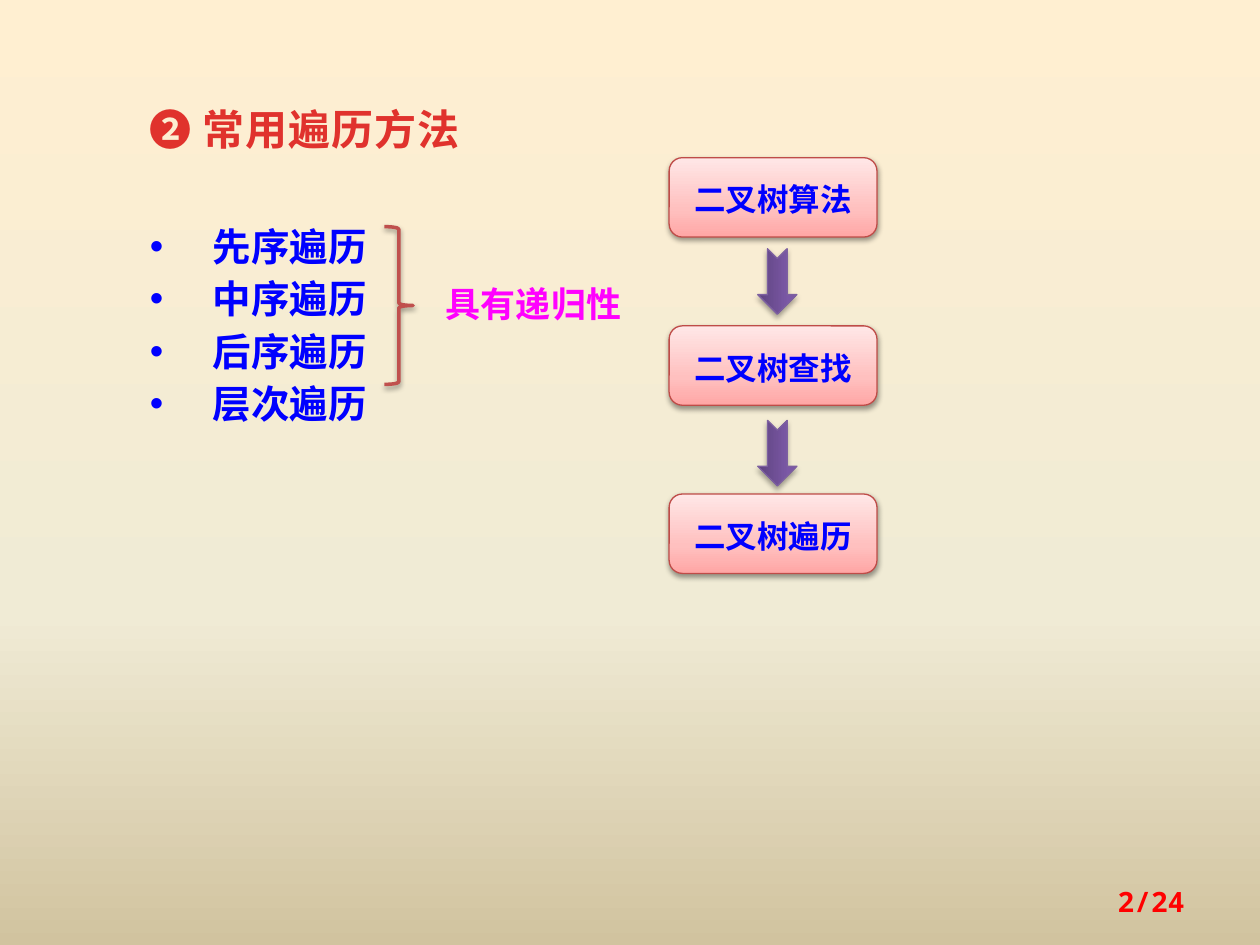
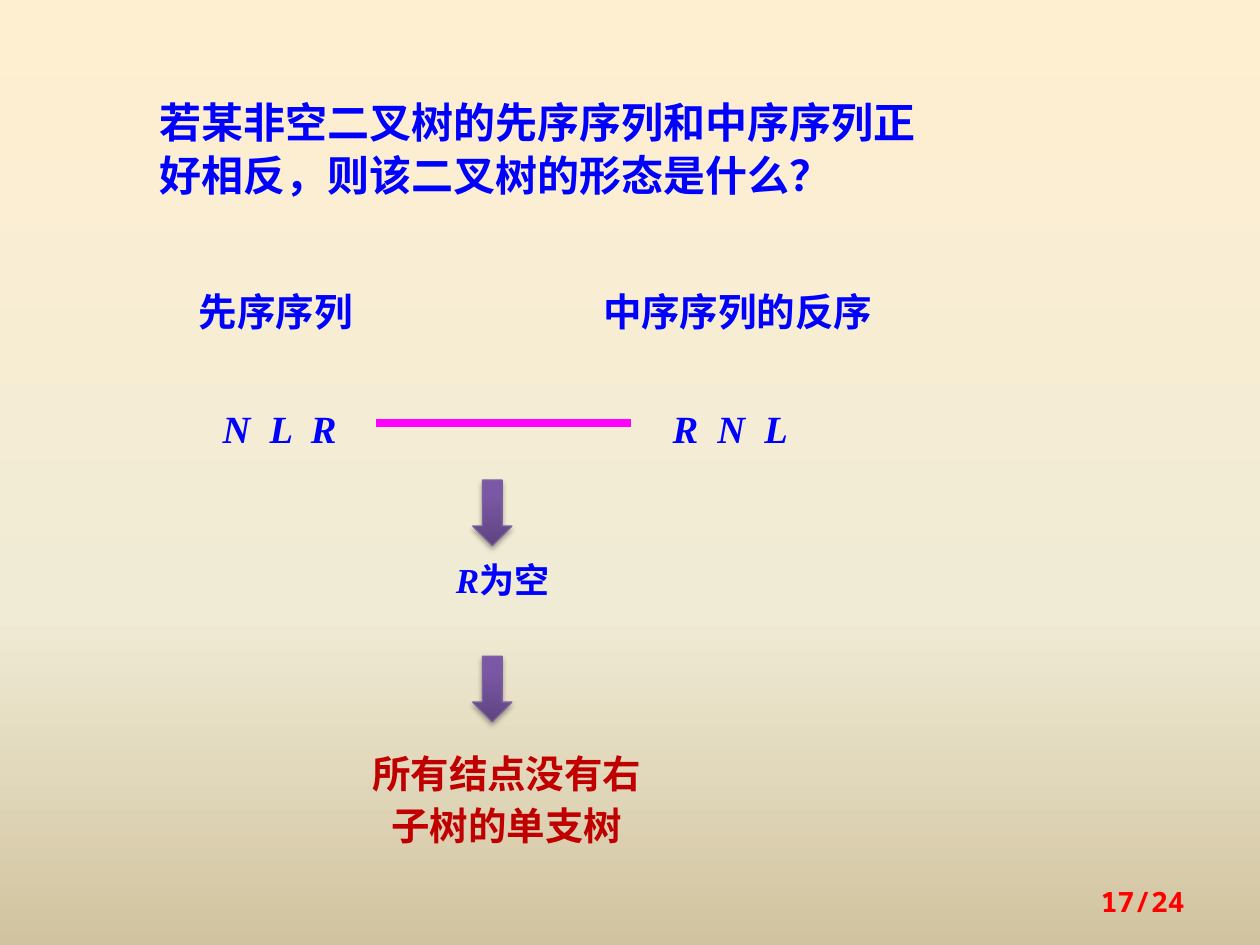
from collections.abc import Sequence
from dataclasses import dataclass, replace

from lxml.etree import SubElement
from pptx import Presentation
from pptx.dml.color import RGBColor
from pptx.dml.fill import FillFormat
from pptx.enum.shapes import MSO_CONNECTOR, MSO_SHAPE
from pptx.enum.text import MSO_ANCHOR, PP_ALIGN
from pptx.oxml.ns import qn
from pptx.slide import Slide
from pptx.util import Cm, Pt

BLUE, MAGENTA, RED, DARK_RED = "0000FF", "FF00FF", "FF0000", "C00000"
BRACE_RED, NODE_LINE, ARROW_LINE = "C0504D", "BF4C48", "7D60A0"
SERIF, SANS, MONO = "Times New Roman", "Noto Sans CJK SC", "Noto Sans Mono"
TOTAL_PAGES = 24


@dataclass(frozen=True)
class Gradient:
    stops: tuple[tuple[int, str], ...]
    angle: int


@dataclass(frozen=True)
class Frame:
    """Position and size in centimetres."""
    left: float
    top: float
    width: float
    height: float

    def lengths(self) -> tuple[Cm, Cm, Cm, Cm]:
        return Cm(self.left), Cm(self.top), Cm(self.width), Cm(self.height)


@dataclass(frozen=True)
class TextStyle:
    size: int
    colour: str | Gradient = BLUE
    font: str = SERIF
    italic: bool = False
    tracking: float = 0
    align: PP_ALIGN = PP_ALIGN.LEFT
    spacing: float | Pt = Pt(30)
    bulleted: bool = False


@dataclass(frozen=True)
class Look:
    """Outline, shadow and optional fill of a preset shape."""
    line: str
    line_width: float
    shadow_opacity: int
    shadow_distance: float
    fill: Gradient | None = None


PAGE_FILL = Gradient(((0, "FFEFD1"), (65, "F0EBD5"), (100, "D1C39F")), 90)
HEADING_FILL = Gradient(((25, "E0322D"), (100, "A2201C")), 90)
NODE_FILL = Gradient(((0, "FFA6A5"), (35, "FFC0BF"), (100, "FFE7E7")), 270)
ARROW_FILL = Gradient(((0, "5F4480"), (80, "7B58A6"), (100, "7C57A8")), 270)

BODY = TextStyle(22)
BULLETS = replace(BODY, bulleted=True)
SEQUENCE = replace(BODY, italic=True, tracking=2.75)
REMARK = TextStyle(20)
QUESTION = TextStyle(24)
HEADING = TextStyle(24, HEADING_FILL, SANS, tracking=0.5)
CONCLUSION = TextStyle(22, DARK_RED, SANS, align=PP_ALIGN.CENTER)
NODE_TEXT = TextStyle(18, BLUE, SANS, align=PP_ALIGN.CENTER, spacing=1.1)
PAGE_NUMBER = TextStyle(16, RED, MONO, align=PP_ALIGN.RIGHT, spacing=1.0)

BRACE = Look(BRACE_RED, 2, 38, 1.6)
NODE = Look(NODE_LINE, 0.75, 38, 1.6, NODE_FILL)
ARROW = Look(ARROW_LINE, 0.75, 35, 1.8, ARROW_FILL)


def rgb(colour: str) -> RGBColor:
    return RGBColor.from_string(colour)


def apply_gradient(fill: FillFormat, owner, gradient: Gradient) -> None:
    """Fill with any number of stops; owner is the element holding the fill."""
    fill.gradient()
    element = next(owner.iter(qn("a:gradFill")))
    stop_list = element.find(qn("a:gsLst"))
    for stop in list(stop_list):
        stop_list.remove(stop)
    for percent, colour in gradient.stops:
        stop = SubElement(stop_list, qn("a:gs"), pos=str(percent * 1000))
        SubElement(stop, qn("a:srgbClr"), val=colour)
    element.find(qn("a:lin")).set("ang", str(gradient.angle * 60000))


def format_span(span, style: TextStyle) -> None:
    font = span.font
    font.size, font.name = Pt(style.size), style.font
    font.bold, font.italic = True, style.italic
    properties = span._r.get_or_add_rPr()
    if isinstance(style.colour, Gradient):
        apply_gradient(font.fill, properties, style.colour)
    else:
        font.color.rgb = rgb(style.colour)
    if style.tracking:
        properties.set("spc", str(round(style.tracking * 100)))
    SubElement(properties, qn("a:ea"), typeface=SANS)


def format_para(para, style: TextStyle) -> None:
    para.alignment = style.align
    para.line_spacing = style.spacing
    if style.bulleted:
        properties = para._p.get_or_add_pPr()
        properties.set("marL", str(Cm(1.27)))
        properties.set("indent", str(-Cm(1.27)))
        SubElement(properties, qn("a:buFont"), typeface="Arial")
        SubElement(properties, qn("a:buChar"), char="•")
    for span in para.runs:
        format_span(span, style)


def write(text_frame, text: str, style: TextStyle) -> None:
    text_frame.word_wrap = True
    text_frame.text = text
    for para in text_frame.paragraphs:
        format_para(para, style)


def add_text(page: Slide, frame: Frame, text: str, style: TextStyle):
    box = page.shapes.add_textbox(*frame.lengths())
    write(box.text_frame, text, style)
    return box


def add_preset(page: Slide, kind: MSO_SHAPE, frame: Frame, look: Look):
    shape = page.shapes.add_shape(kind, *frame.lengths())
    if look.fill:
        apply_gradient(shape.fill, shape._element, look.fill)
    else:
        shape.fill.background()
    shape.line.color.rgb = rgb(look.line)
    shape.line.width = Pt(look.line_width)
    shape.shadow.inherit = False
    effects = shape._element.spPr.find(qn("a:effectLst"))
    shadow = SubElement(effects, qn("a:outerShdw"), blurRad=str(Pt(3.1)),
                        dist=str(Pt(look.shadow_distance)), dir="5400000",
                        rotWithShape="0")
    colour = SubElement(shadow, qn("a:srgbClr"), val="000000")
    SubElement(colour, qn("a:alpha"), val=str(look.shadow_opacity * 1000))
    return shape


def add_line(page: Slide, left: float, right: float, y: float) -> None:
    line = page.shapes.add_connector(
        MSO_CONNECTOR.STRAIGHT, Cm(left), Cm(y), Cm(right), Cm(y))
    line.line.color.rgb = rgb(MAGENTA)
    line.line.width = Pt(4.5)
    SubElement(line._element.spPr, qn("a:effectLst"))


def add_page(deck, number: int) -> Slide:
    """Add a page with the shared background and page number."""
    page = deck.slides.add_slide(deck.slide_layouts[6])
    apply_gradient(page.background.fill, page._element, PAGE_FILL)
    box = add_text(page, Frame(18.21, 17.65, 5.92, 1.02),
                   f"{number}/{TOTAL_PAGES}", PAGE_NUMBER)
    box.text_frame.vertical_anchor = MSO_ANCHOR.MIDDLE
    return page


def add_topic_chain(page: Slide, topics: Sequence[str]) -> None:
    """Stack topic nodes, with a notched arrow between neighbours."""
    for index, topic in enumerate(topics):
        frame = Frame(13.49, 3.18 + 3.39 * index, 4.19, 1.6)
        node = add_preset(page, MSO_SHAPE.ROUNDED_RECTANGLE, frame, NODE)
        node.text_frame.vertical_anchor = MSO_ANCHOR.MIDDLE
        write(node.text_frame, topic, NODE_TEXT)
    for index in range(len(topics) - 1):
        frame = Frame(15.01, 5.28 + 3.46 * index, 1.32, 0.79)
        arrow = add_preset(page, MSO_SHAPE.NOTCHED_RIGHT_ARROW, frame, ARROW)
        arrow.rotation = 90


def build_methods_page(deck) -> None:
    page = add_page(deck, 2)
    add_text(page, Frame(2.77, 1.93, 7.95, 1.32), "❷ 常用遍历方法", HEADING)
    methods = ("先序遍历", "中序遍历", "后序遍历", "层次遍历")
    add_text(page, Frame(2.77, 4.24, 5.94, 4.52), "\n".join(methods), BULLETS)
    add_preset(page, MSO_SHAPE.RIGHT_BRACE, Frame(7.75, 4.57, 0.58, 3.18), BRACE)
    add_text(page, Frame(8.74, 5.36, 4.78, 1.32), "具有递归性",
             replace(REMARK, colour=MAGENTA))
    add_topic_chain(page, ("二叉树算法", "二叉树查找", "二叉树遍历"))


def build_question_page(deck) -> None:
    page = add_page(deck, 17)
    add_text(page, Frame(2.97, 1.78, 16.28, 2.39),
             "若某非空二叉树的先序序列和中序序列正好相反，则该二叉树的形态是什么？",
             QUESTION)
    add_text(page, Frame(3.76, 5.56, 4.78, 1.24), "先序序列", BODY)
    add_text(page, Frame(11.91, 5.56, 7.14, 1.24), "中序序列的反序", BODY)
    for left, letters in ((4.24, "N L R"), (13.31, "R N L")):
        add_text(page, Frame(left, 7.92, 3.58, 1.24), letters, SEQUENCE)
    add_line(page, 7.57, 12.73, 8.53)
    for top in (9.68, 13.23):
        add_preset(page, MSO_SHAPE.DOWN_ARROW, Frame(9.53, top, 0.79, 1.32), ARROW)

    finding = add_text(page, Frame(8.94, 10.92, 2.59, 1.32), "R",
                       replace(REMARK, italic=True))
    span = finding.text_frame.paragraphs[0].add_run()
    span.text = "为空"
    format_span(span, REMARK)
    add_text(page, Frame(7.14, 14.86, 6.15, 2.39),
             "所有结点没有右子树的单支树", CONCLUSION)


def main() -> None:
    deck = Presentation()
    deck.slide_width, deck.slide_height = Cm(25.4), Cm(19.05)
    build_methods_page(deck)
    build_question_page(deck)
    deck.save("out.pptx")


if __name__ == "__main__":
    main()
